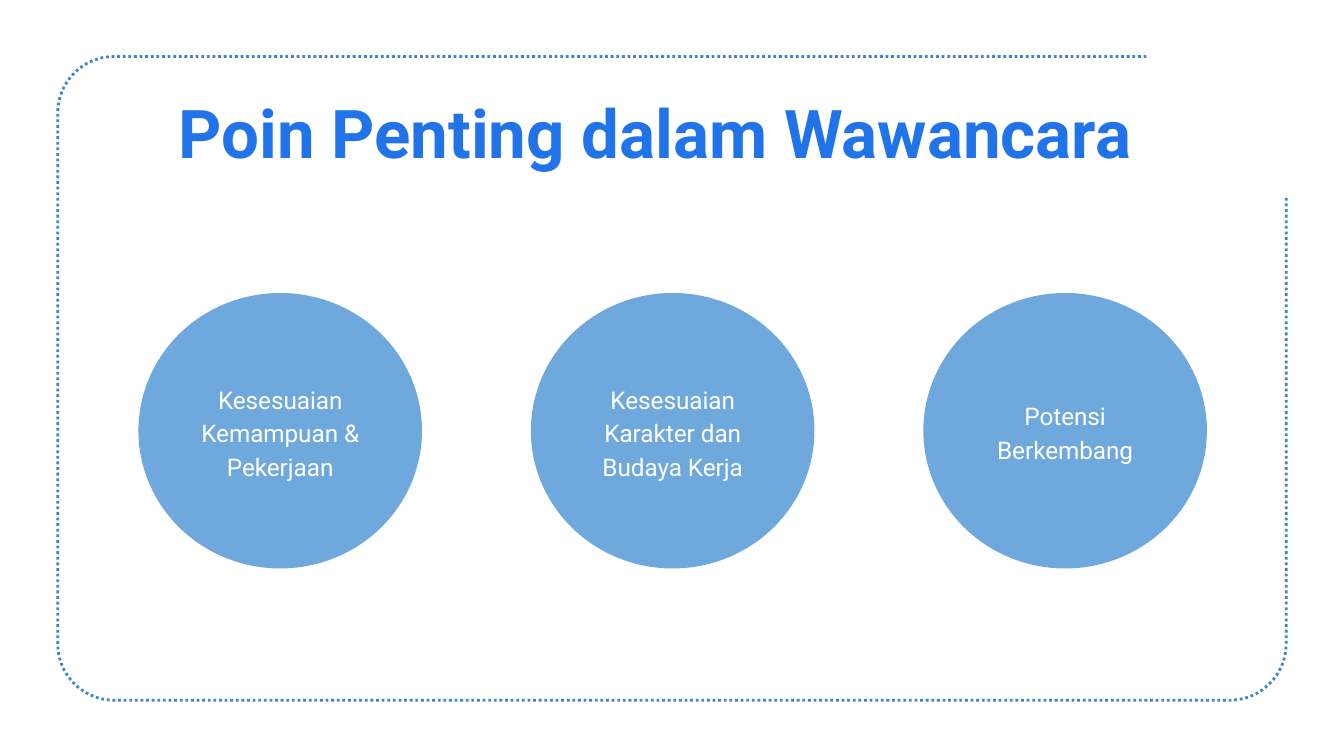
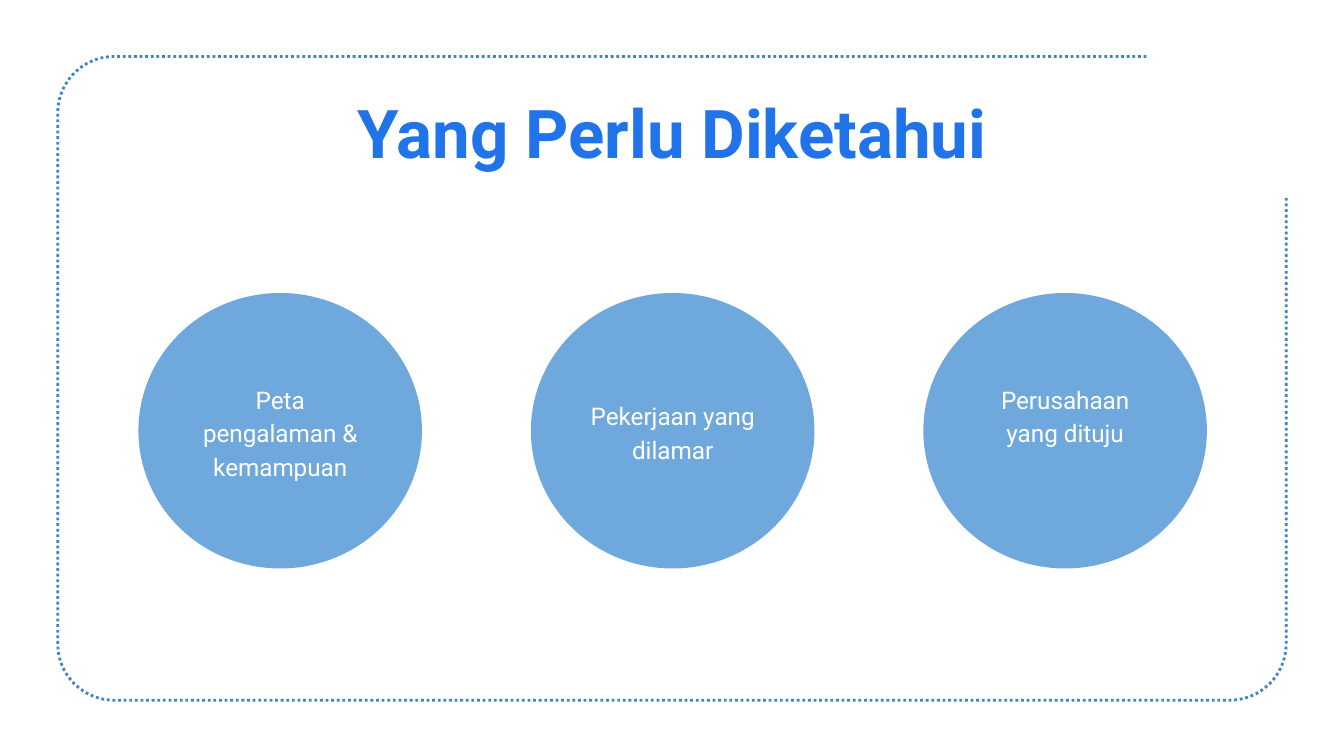
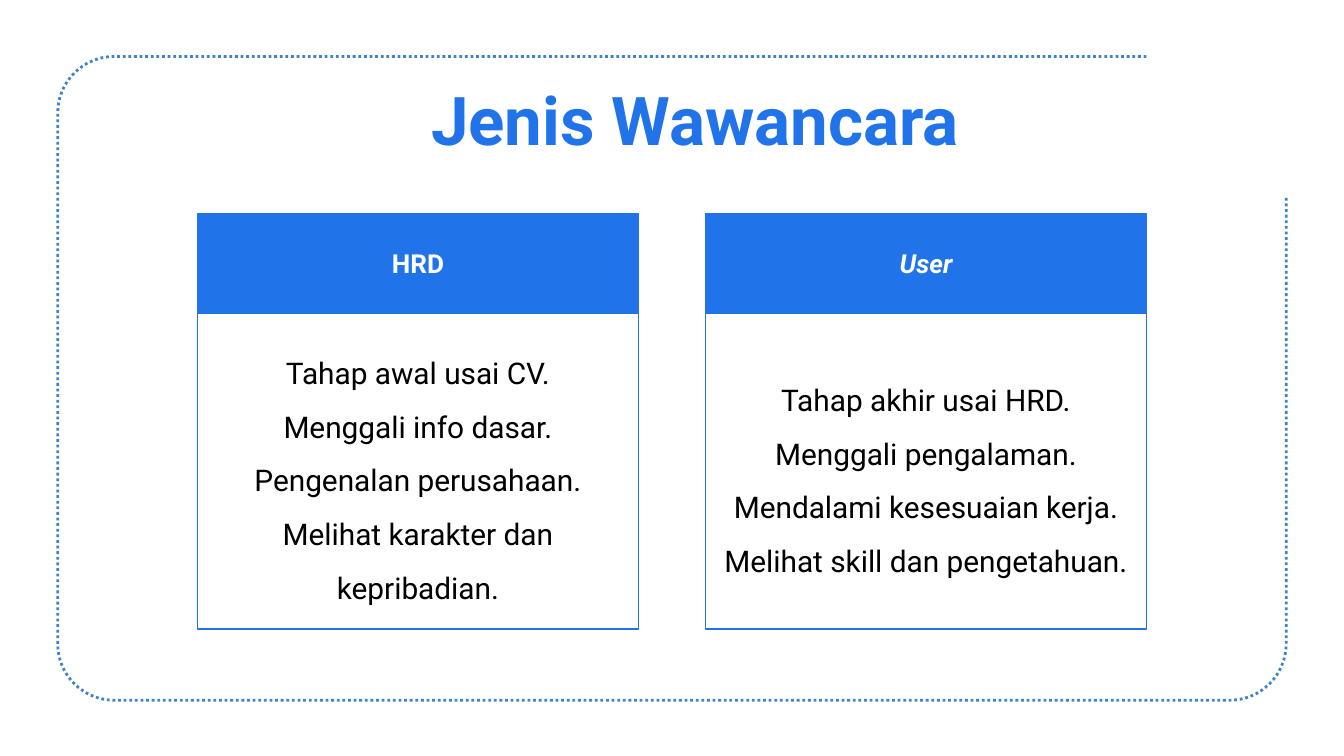
import math

import pptx
import pptx.dml.color
import pptx.enum.dml
import pptx.enum.shapes
import pptx.enum.text
import pptx.util
from pptx.util import Inches

COLORS = {
    "title": "2173EA",
    "frame": "3D85C6",
    "circle": "6FA8DC",
    "white": "FFFFFF",
    "black": "000000",
}
FONT = "Roboto"
SHAPES = pptx.enum.shapes.MSO_SHAPE
ALIGN = pptx.enum.text.PP_ALIGN
ANCHOR = pptx.enum.text.MSO_ANCHOR

# Dotted frame
FRAME_LEFT, FRAME_TOP, FRAME_RIGHT, FRAME_BOTTOM = 0.43, 0.42, 9.57, 5.21
FRAME_RADIUS = 0.42
CORNER_STEPS = 16

# Rows of circles and cards
CIRCLE_LEFT, CIRCLE_TOP, CIRCLE_PITCH = 1.03, 2.18, 2.92
CIRCLE_WIDTH, CIRCLE_HEIGHT = 2.11, 2.05
CARD_LEFT, CARD_TOP, CARD_PITCH, CARD_WIDTH = 1.47, 1.59, 3.78, 3.28
HEADER_HEIGHT, BODY_HEIGHT = 0.74, 2.35


def rgb(name):
    return pptx.dml.color.RGBColor.from_string(COLORS[name])


def write_text(shape, lines, size, color, bold=None, italic=None,
               align=ALIGN.CENTER, anchor=ANCHOR.MIDDLE, spacing=None, bottom_inset=0.1):
    frame = shape.text_frame
    frame.word_wrap = True
    frame.vertical_anchor = anchor
    frame.margin_left = frame.margin_right = frame.margin_top = Inches(0.1)
    frame.margin_bottom = Inches(bottom_inset)
    frame.text = "\n".join(lines)
    for paragraph in frame.paragraphs:
        paragraph.alignment = align
        paragraph.line_spacing = spacing
        font = paragraph.font
        font.name = FONT
        font.size = pptx.util.Pt(size)
        font.bold = bold
        font.italic = italic
        font.color.rgb = rgb(color)


def corner_points(center_x, center_y, start_degrees):
    """Quarter circle, turning counterclockwise on the slide."""
    points = []
    for step in range(CORNER_STEPS + 1):
        angle = math.radians(start_degrees - 90 * step / CORNER_STEPS)
        points.append((Inches(center_x + FRAME_RADIUS * math.cos(angle)),
                       Inches(center_y + FRAME_RADIUS * math.sin(angle))))
    return points


def add_frame(slide):
    """Dotted rounded outline, open at the top right corner."""
    inner_left, inner_right = FRAME_LEFT + FRAME_RADIUS, FRAME_RIGHT - FRAME_RADIUS
    inner_top, inner_bottom = FRAME_TOP + FRAME_RADIUS, FRAME_BOTTOM - FRAME_RADIUS
    points = (corner_points(inner_left, inner_top, 270)
              + corner_points(inner_left, inner_bottom, 180)
              + corner_points(inner_right, inner_bottom, 90)
              + [(Inches(FRAME_RIGHT), Inches(1.46))])
    builder = slide.shapes.build_freeform(Inches(8.53), Inches(FRAME_TOP))
    builder.add_line_segments(points, close=False)
    outline = builder.convert_to_shape()
    outline.shadow.inherit = False
    outline.fill.background()
    outline.line.color.rgb = rgb("frame")
    outline.line.width = pptx.util.Pt(1.5)
    outline.line.dash_style = pptx.enum.dml.MSO_LINE.ROUND_DOT


def add_title(slide, text, left, top, width, align=ALIGN.LEFT):
    box = slide.shapes.add_textbox(Inches(left), Inches(top), Inches(width), Inches(0.81))
    write_text(box, [text], 36, "title", bold=True, align=align, anchor=ANCHOR.TOP)


def add_filled_shape(slide, kind, left, top, width, height, fill, line=None):
    shape = slide.shapes.add_shape(kind, Inches(left), Inches(top),
                                   Inches(width), Inches(height))
    shape.shadow.inherit = False
    shape.fill.solid()
    shape.fill.fore_color.rgb = rgb(fill)
    if line:
        shape.line.color.rgb = rgb(line)
        shape.line.width = pptx.util.Pt(0.75)
    else:
        shape.line.fill.background()
    return shape


def add_circle(slide, column, text, bottom_inset=0.1):
    circle = add_filled_shape(slide, SHAPES.OVAL, CIRCLE_LEFT + column * CIRCLE_PITCH,
                              CIRCLE_TOP, CIRCLE_WIDTH, CIRCLE_HEIGHT, "circle")
    write_text(circle, [text], 13, "white", spacing=1.15, bottom_inset=bottom_inset)


def add_card_header(slide, column, text, italic=None):
    header = add_filled_shape(slide, SHAPES.RECTANGLE, CARD_LEFT + column * CARD_PITCH,
                              CARD_TOP, CARD_WIDTH, HEADER_HEIGHT, "title", "title")
    write_text(header, [text], 14, "white", bold=True, italic=italic)


def add_card_body(slide, column, lines):
    body = add_filled_shape(slide, SHAPES.RECTANGLE, CARD_LEFT + column * CARD_PITCH,
                            CARD_TOP + HEADER_HEIGHT, CARD_WIDTH, BODY_HEIGHT,
                            "white", "title")
    write_text(body, lines, 16, "black", spacing=1.5)


def add_framed_slide(presentation):
    slide = presentation.slides.add_slide(presentation.slide_layouts[6])
    slide.background.fill.solid()
    slide.background.fill.fore_color.rgb = rgb("white")
    add_frame(slide)
    return slide


def main():
    presentation = pptx.Presentation()
    presentation.slide_width = Inches(10)
    presentation.slide_height = Inches(5.625)

    # Key points of an interview
    slide = add_framed_slide(presentation)
    add_title(slide, "Poin Penting dalam Wawancara", 1.23, 0.58, 8.18)
    for column, text in enumerate(["Kesesuaian Kemampuan & Pekerjaan",
                                   "Kesesuaian Karakter dan Budaya Kerja",
                                   "Potensi Berkembang"]):
        add_circle(slide, column, text)

    # What to know beforehand; the last label sits half a line higher
    slide = add_framed_slide(presentation)
    add_title(slide, "Yang Perlu Diketahui", 0.91, 0.58, 8.18, ALIGN.CENTER)
    add_circle(slide, 0, "Peta pengalaman & kemampuan")
    add_circle(slide, 1, "Pekerjaan yang dilamar")
    add_circle(slide, 2, "Perusahaan yang dituju", bottom_inset=0.35)

    # Kinds of interview
    slide = add_framed_slide(presentation)
    add_title(slide, "Jenis Wawancara", 3.11, 0.48, 4.49)
    add_card_header(slide, 0, "HRD")
    add_card_header(slide, 1, "User", italic=True)
    add_card_body(slide, 0, ["Tahap awal usai CV.", "Menggali info dasar.",
                             "Pengenalan perusahaan.",
                             "Melihat karakter dan kepribadian."])
    add_card_body(slide, 1, ["Tahap akhir usai HRD.", "Menggali pengalaman.",
                             "Mendalami kesesuaian kerja.",
                             "Melihat skill dan pengetahuan."])

    presentation.save("out.pptx")


if __name__ == "__main__":
    main()
